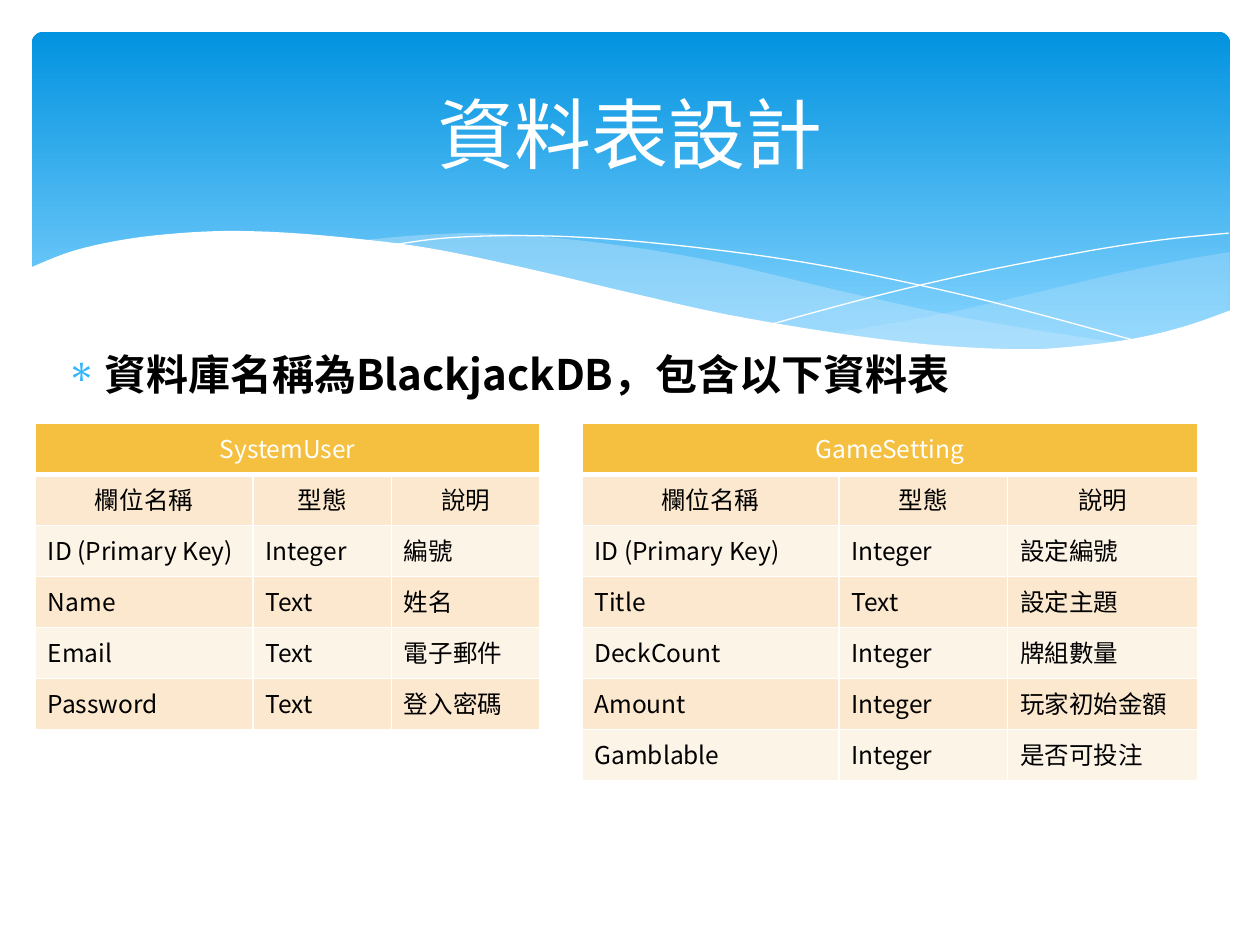
from lxml.etree import SubElement
from pptx import Presentation
from pptx.dml.color import RGBColor
from pptx.enum.shapes import MSO_SHAPE as Shape
from pptx.enum.text import MSO_ANCHOR as Anchor, PP_ALIGN as Align
from pptx.oxml.ns import qn
from pptx.util import Cm, Pt

FONT = "Noto Sans CJK SC"
WHITE, BLACK = "FFFFFF", "000000"
HEADER, BAND_DARK, BAND_LIGHT = "F5C040", "FBE8CF", "FDF4E8"
MIST = "C6E7FC"
ROW_HEIGHT = Cm(1.03)
TABLE_TOP = Cm(8.53)
FIELD_HEADINGS = ("欄位名稱", "型態", "說明")

# Curve knots in centimetres
RIGHT_BAND = [
    [(24.79, 5.08), (23.75, 5.26), (22.63, 5.49), (21.13, 5.84), (19.13, 6.3), (16.79, 6.73)],
    [(16.79, 6.73), (17.91, 6.88), (19.23, 7.01), (20.4, 7.06), (21.69, 7.01), (22.99, 6.83),
     (23.93, 6.58), (24.79, 6.27)],
]
LEFT_BAND = [
    [(7.26, 4.85), (8.33, 4.75), (9.65, 4.7), (11.23, 4.8), (13.06, 5.03), (14.83, 5.36),
     (16.97, 5.87), (19.69, 6.45), (22.68, 6.93)],
    [(22.68, 6.93), (21.77, 7.04), (20.5, 7.06), (19, 7.01), (17.27, 6.81), (15.27, 6.48),
     (12.47, 5.89), (10.85, 5.49), (9.19, 5.16), (7.26, 4.85)],
]
FALLING_LINE = [
    [(7.85, 4.95), (8.97, 4.8), (10.57, 4.75), (12.42, 4.83), (14.78, 5.08), (16.89, 5.41),
     (19.3, 5.92), (21.11, 6.38), (23.04, 6.91)],
]
RISING_LINE = [
    [(15.57, 6.53), (17.65, 5.97), (19.71, 5.49), (22, 5.05), (23.47, 4.83), (24.77, 4.7)],
]
WHITE_WAVE = [
    [(24.82, 6.25), (23.88, 6.58), (22.83, 6.83), (21.59, 6.99), (20.55, 7.04), (18.9, 6.96),
     (16.97, 6.73), (14.71, 6.35), (12.78, 5.92), (10.62, 5.41), (8.64, 5), (6.88, 4.78),
     (5.36, 4.67), (4.09, 4.67), (2.69, 4.8), (1.5, 5.05), (0.58, 5.41)],
    [(0.58, 8.36), (24.82, 8.36)],
]

SYSTEM_USER = [
    ("ID (Primary Key)", "Integer", "編號"),
    ("Name", "Text", "姓名"),
    ("Email", "Text", "電子郵件"),
    ("Password", "Text", "登入密碼"),
]
GAME_SETTING = [
    ("ID (Primary Key)", "Integer", "設定編號"),
    ("Title", "Text", "設定主題"),
    ("DeckCount", "Integer", "牌組數量"),
    ("Amount", "Integer", "玩家初始金額"),
    ("Gamblable", "Integer", "是否可投注"),
]


def rgb(value):
    return RGBColor.from_string(value)


def format_text(paragraph, size, color, align=Align.LEFT, bold=False):
    paragraph.alignment = align
    font = paragraph.font
    font.name, font.size, font.bold = FONT, Pt(size), bold
    font.color.rgb = rgb(color)
    # East Asian characters take their own typeface
    defaults = paragraph._p.pPr.find(qn("a:defRPr"))
    SubElement(defaults, qn("a:ea"), typeface=FONT)


def smooth(knots, steps=6):
    """Return points of a Catmull-Rom curve through the knots."""
    if len(knots) < 3:
        return knots
    padded = [knots[0], *knots, knots[-1]]
    points = [knots[0]]
    for a, b, c, d in zip(padded, padded[1:], padded[2:], padded[3:]):
        for step in range(1, steps + 1):
            t = step / steps
            points.append(tuple(
                0.5 * (2 * q + (r - p) * t + (2 * p - 5 * q + 4 * r - s) * t ** 2
                       + (3 * q - p - 3 * r + s) * t ** 3)
                for p, q, r, s in zip(a, b, c, d)))
    return points


def add_curve(slide, arcs, closed):
    points = [(Cm(x), Cm(y)) for arc in arcs for x, y in smooth(arc)]
    builder = slide.shapes.build_freeform(*points[0])
    builder.add_line_segments(points[1:], close=closed)
    curve = builder.convert_to_shape()
    curve.shadow.inherit = False
    return curve


def add_wave(slide, arcs, color, opacity=100):
    wave = add_curve(slide, arcs, closed=True)
    wave.fill.solid()
    wave.fill.fore_color.rgb = rgb(color)
    wave.line.fill.background()
    if opacity < 100:
        tint = wave.fill._xPr.find(qn("a:solidFill"))[0]
        SubElement(tint, qn("a:alpha"), val=str(opacity * 1000))


def add_hairline(slide, arcs):
    hairline = add_curve(slide, arcs, closed=False)
    hairline.fill.background()
    hairline.line.color.rgb = rgb(WHITE)
    hairline.line.width = Pt(0)


def add_banner(slide):
    banner = slide.shapes.add_shape(
        Shape.ROUNDED_RECTANGLE, Cm(0.64), Cm(0.64), Cm(24.16), Cm(6.86))
    banner.adjustments[0] = 0.034
    banner.shadow.inherit = False
    banner.line.fill.background()
    banner.fill.gradient()
    banner.fill.gradient_angle = 270
    shades = ((0, "0293E0"), (0.9, "83D3FE"))
    for stop, (position, color) in zip(banner.fill.gradient_stops, shades):
        stop.position = position
        stop.color.rgb = rgb(color)


def set_title(slide, text):
    title = slide.shapes.title
    title.left, title.top, title.width, title.height = Cm(1.27), Cm(0.94), Cm(22.86), Cm(3.48)
    title.text_frame.text = text
    title.text_frame.vertical_anchor = Anchor.MIDDLE
    format_text(title.text_frame.paragraphs[0], 44, WHITE, Align.CENTER)
    # Bring the title in front of the banner
    title.element.getparent().append(title.element)


def add_bullet(slide, text):
    body = slide.shapes.add_textbox(Cm(1.09), Cm(6.91), Cm(23.67), Cm(10.11))
    body.text_frame.word_wrap = True
    statement = body.text_frame.paragraphs[0]
    statement.text = text
    properties = statement._p.get_or_add_pPr()
    properties.set("marL", str(Cm(0.76)))
    properties.set("indent", str(-Cm(0.76)))
    bullet_color = SubElement(properties, qn("a:buClr"))
    SubElement(bullet_color, qn("a:srgbClr"), val="31B6FD")
    SubElement(properties, qn("a:buChar"), char="∗")
    statement.space_before = Pt(4.8)
    format_text(statement, 24, BLACK, bold=True)


def set_borders(cell, bottom=1):
    properties = cell._tc.get_or_add_tcPr()
    for place, (side, width) in enumerate((("L", 1), ("R", 1), ("T", 1), ("B", bottom))):
        border = SubElement(properties, qn(f"a:ln{side}"), w=str(Pt(width)))
        paint = SubElement(border, qn("a:solidFill"))
        SubElement(paint, qn("a:srgbClr"), val=WHITE)
        properties.insert(place, border)


def add_schema(slide, name, fields, left, widths):
    rows = [(name, "", ""), FIELD_HEADINGS, *fields]
    frame = slide.shapes.add_table(
        len(rows), len(widths), left, TABLE_TOP, sum(widths), ROW_HEIGHT * len(rows))
    schema = frame.table
    for column, width in zip(schema.columns, widths):
        column.width = width
    for r, texts in enumerate(rows):
        schema.rows[r].height = ROW_HEIGHT
        band = HEADER if r == 0 else BAND_DARK if r % 2 else BAND_LIGHT
        for c, text in enumerate(texts):
            cell = schema.cell(r, c)
            cell.text = text
            cell.fill.solid()
            cell.fill.fore_color.rgb = rgb(band)
            set_borders(cell, bottom=1 if r else 3)
            format_text(cell.text_frame.paragraphs[0], 14, BLACK if r else WHITE,
                        Align.CENTER if r < 2 else Align.LEFT)
    schema.cell(0, 0).merge(schema.cell(0, len(widths) - 1))


def main():
    deck = Presentation()
    deck.slide_width, deck.slide_height = Cm(25.4), Cm(19.05)
    slide = deck.slides.add_slide(deck.slide_layouts[5])
    add_banner(slide)
    add_wave(slide, RIGHT_BAND, MIST, opacity=29)
    add_wave(slide, LEFT_BAND, MIST, opacity=40)
    add_hairline(slide, FALLING_LINE)
    add_hairline(slide, RISING_LINE)
    add_wave(slide, WHITE_WAVE, WHITE)
    add_bullet(slide, "資料庫名稱為BlackjackDB，包含以下資料表")
    set_title(slide, "資料表設計")
    add_schema(slide, "SystemUser", SYSTEM_USER, Cm(0.71), [Cm(4.39), Cm(2.79), Cm(3)])
    add_schema(slide, "GameSetting", GAME_SETTING, Cm(11.73), [Cm(5.18), Cm(3.4), Cm(3.84)])
    deck.save("out.pptx")


if __name__ == "__main__":
    main()
